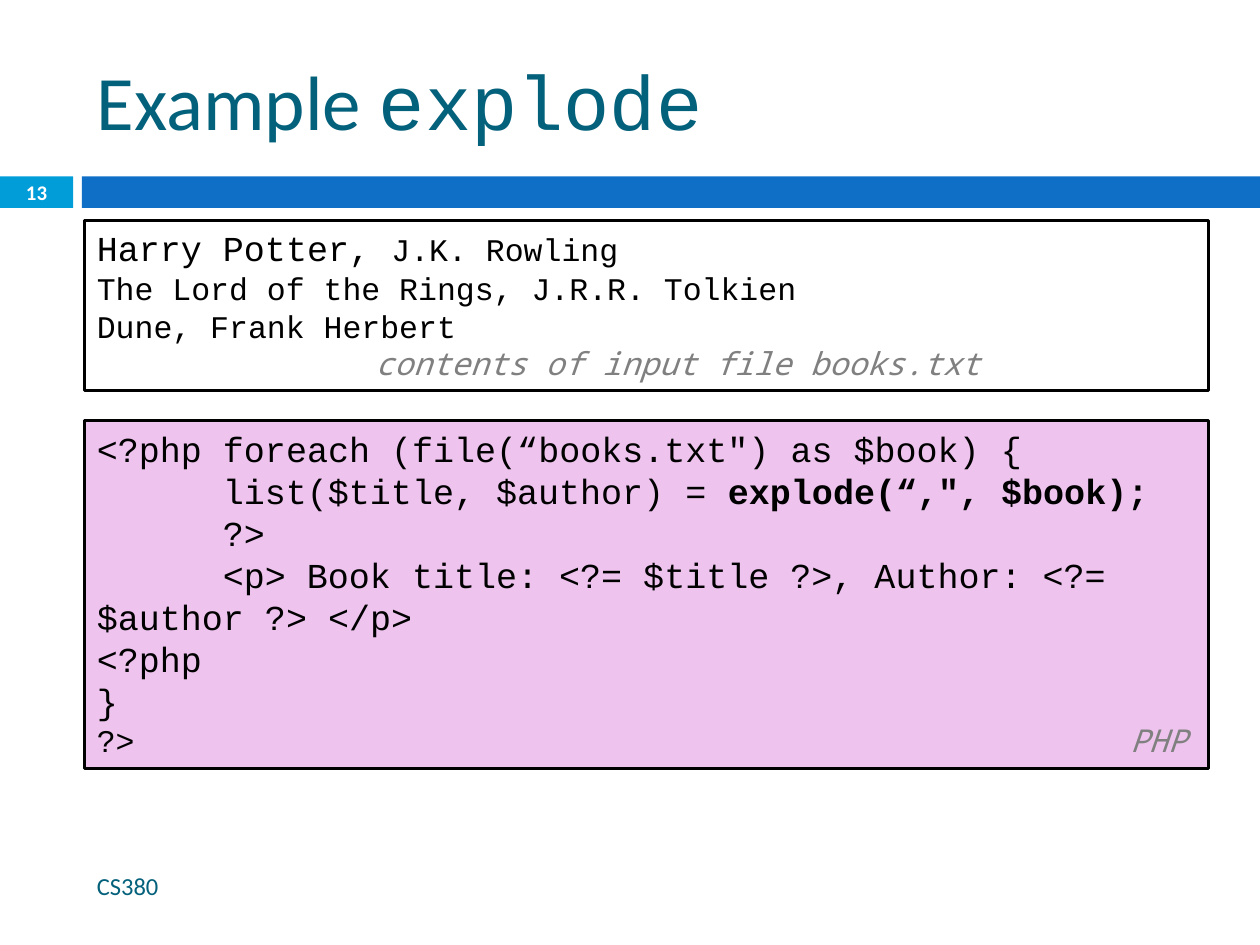
from dataclasses import dataclass
from typing import Any

from lxml import etree
from pptx import Presentation
from pptx import util as u
from pptx.dml.color import RGBColor
from pptx.enum import shapes, text
from pptx.oxml import ns


def color(hex_string):
    return RGBColor.from_string(hex_string)


@dataclass
class SlideBuilder:
    slide: Any
    heading_font: str = "Calibri"
    code_font: str = "Courier New"
    note_font: str = "Noto Sans Mono"
    heading: str = "04617B"
    ink: str = "000000"
    muted: str = "808080"

    def rect(self, left, top, width, height, fill=None, line=None):
        box = self.slide.shapes.add_shape(
            shapes.MSO_SHAPE.RECTANGLE, *map(u.Inches, (left, top, width, height)))
        box.shadow.inherit = False
        if fill:
            box.fill.solid()
            box.fill.fore_color.rgb = color(fill)
        else:
            box.fill.background()
        if line:
            box.line.color.rgb = color(line)
            box.line.width = u.Pt(1.5)
        else:
            box.line.fill.background()
        return box

    def run(self, paragraph, words, size, font, ink, bold=False, italic=False):
        run = paragraph.add_run()
        run.text = words
        run.font.size = u.Pt(size)
        run.font.name = font
        run.font.color.rgb = color(ink)
        run.font.bold = bold
        run.font.italic = italic

    def code(self, paragraph, words, size=20, bold=False):
        self.run(paragraph, words, size, self.code_font, self.ink, bold)

    def note(self, paragraph, words):
        self.run(paragraph, words, 18, self.note_font, self.muted, italic=True)

    def label(self, left, top, width, height, align=text.PP_ALIGN.LEFT):
        """Add a vertically centred text box and return its paragraph."""
        box = self.slide.shapes.add_textbox(
            *map(u.Inches, (left, top, width, height)))
        frame = box.text_frame
        frame.word_wrap = True
        frame.vertical_anchor = text.MSO_ANCHOR.MIDDLE
        frame.paragraphs[0].alignment = align
        return frame.paragraphs[0]

    def panel(self, top, height, line_count, fill=None):
        """Add an outlined listing and return its paragraphs."""
        frame = self.rect(LEFT, top, WIDTH, height, fill, self.ink).text_frame
        frame.word_wrap = True
        frame.auto_size = text.MSO_AUTO_SIZE.SHAPE_TO_FIT_TEXT
        frame.vertical_anchor = text.MSO_ANCHOR.TOP
        for _ in range(line_count - 1):
            frame.add_paragraph()
        for paragraph in frame.paragraphs:
            paragraph.alignment = text.PP_ALIGN.LEFT
        return frame.paragraphs

    def indent(self, paragraph, first_line, margin=0):
        properties = paragraph._p.get_or_add_pPr()
        properties.set("marL", str(u.Inches(margin)))
        properties.set("indent", str(u.Inches(first_line)))

    def right_tab(self, paragraph, position):
        properties = paragraph._p.get_or_add_pPr()
        stops = etree.SubElement(properties, ns.qn("a:tabLst"))
        etree.SubElement(stops, ns.qn("a:tab"),
                         pos=str(u.Inches(position)), algn="r")


LEFT, WIDTH = 0.67, 8.92
BOOKS = ["The Lord of the Rings, J.R.R. Tolkien", "Dune, Frank Herbert"]
# Each line: indented or not, then plain and bold code
PHP_LINES = [
    (False, "<?php foreach (file(“books.txt\") as $book) {", ""),
    (True, "list($title, $author) = ", "explode(“,\", $book);"),
    (True, "?>", ""),
    (True, "<p> Book title: <?= $title ?>, Author: <?= $author ?> </p>", ""),
    (False, "<?php", ""),
    (False, "}", ""),
]


def main():
    deck = Presentation()
    deck.slide_width, deck.slide_height = u.Inches(10), u.Inches(7.5)
    page = SlideBuilder(deck.slides.add_slide(deck.slide_layouts[6]))

    page.rect(0, 1.4, 0.58, 0.25, "009DD9")
    page.rect(0.65, 1.4, 9.35, 0.25, "0F6FC6")

    title = page.label(LEFT, 0.25, WIDTH, 1.08)
    page.run(title, "Example ", 44, page.heading_font, page.heading)
    page.run(title, "explode", 44, page.code_font, page.heading)

    number = page.label(0, 1.39, 0.58, 0.27, text.PP_ALIGN.CENTER)
    page.run(number, "13", 11.9, page.heading_font, "FFFFFF", bold=True)

    first_book, *other_books, caption = page.panel(1.75, 1.35, len(BOOKS) + 2)
    page.code(first_book, "Harry Potter, ")
    page.code(first_book, "J.K. Rowling", 18)
    for paragraph, book in zip(other_books, BOOKS):
        page.code(paragraph, book, 18)
    page.indent(caption, 0, margin=2.21)
    page.note(caption, "contents of input file books.txt")

    *body, closing = page.panel(3.34, 2.76, len(PHP_LINES) + 1, "EEC4EE")
    for paragraph, (indented, plain, bold) in zip(body, PHP_LINES):
        if indented:
            page.indent(paragraph, 1)
        page.code(paragraph, plain)
        if bold:
            page.code(paragraph, bold, bold=True)
    page.right_tab(closing, 8.65)
    page.code(closing, "?>\t", 18)
    page.note(closing, "PHP")

    course = page.label(LEFT, 6.83, 5.93, 0.4)
    page.run(course, "CS380", 14, page.heading_font, page.heading)

    deck.save("out.pptx")


if __name__ == "__main__":
    main()
